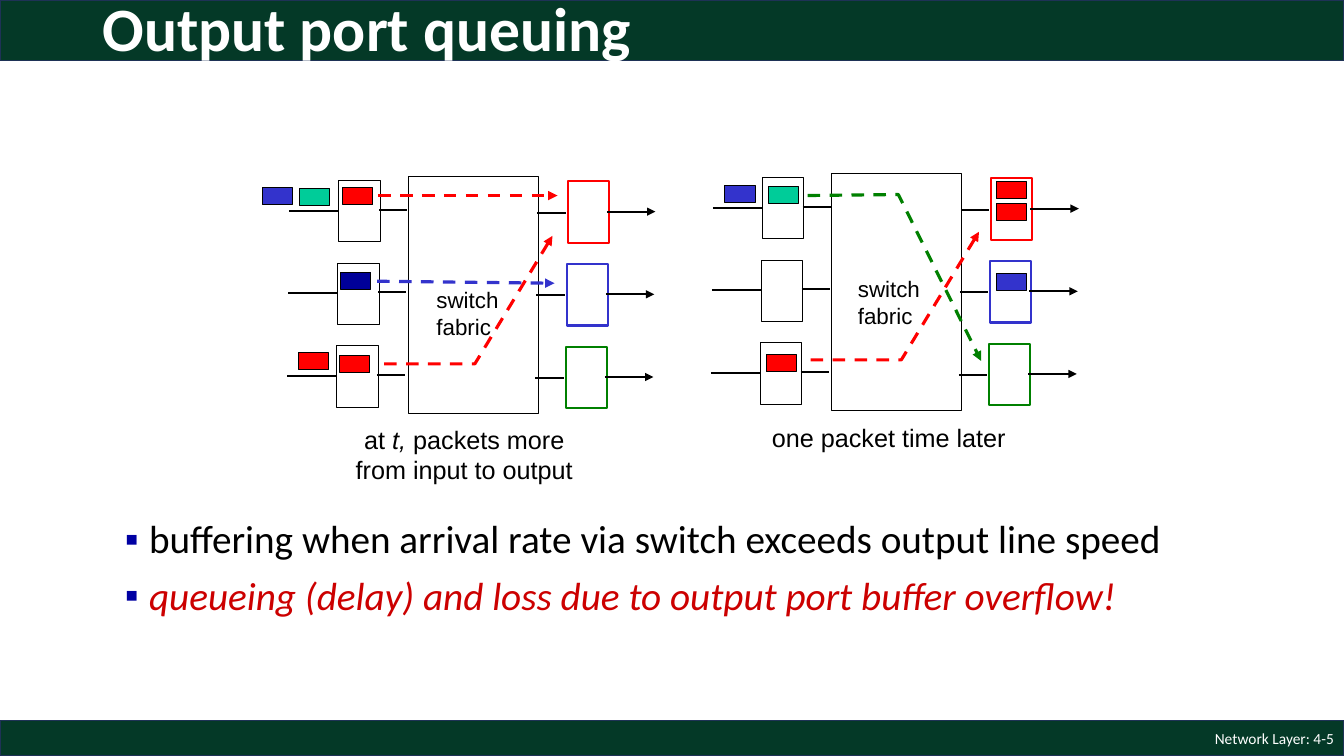
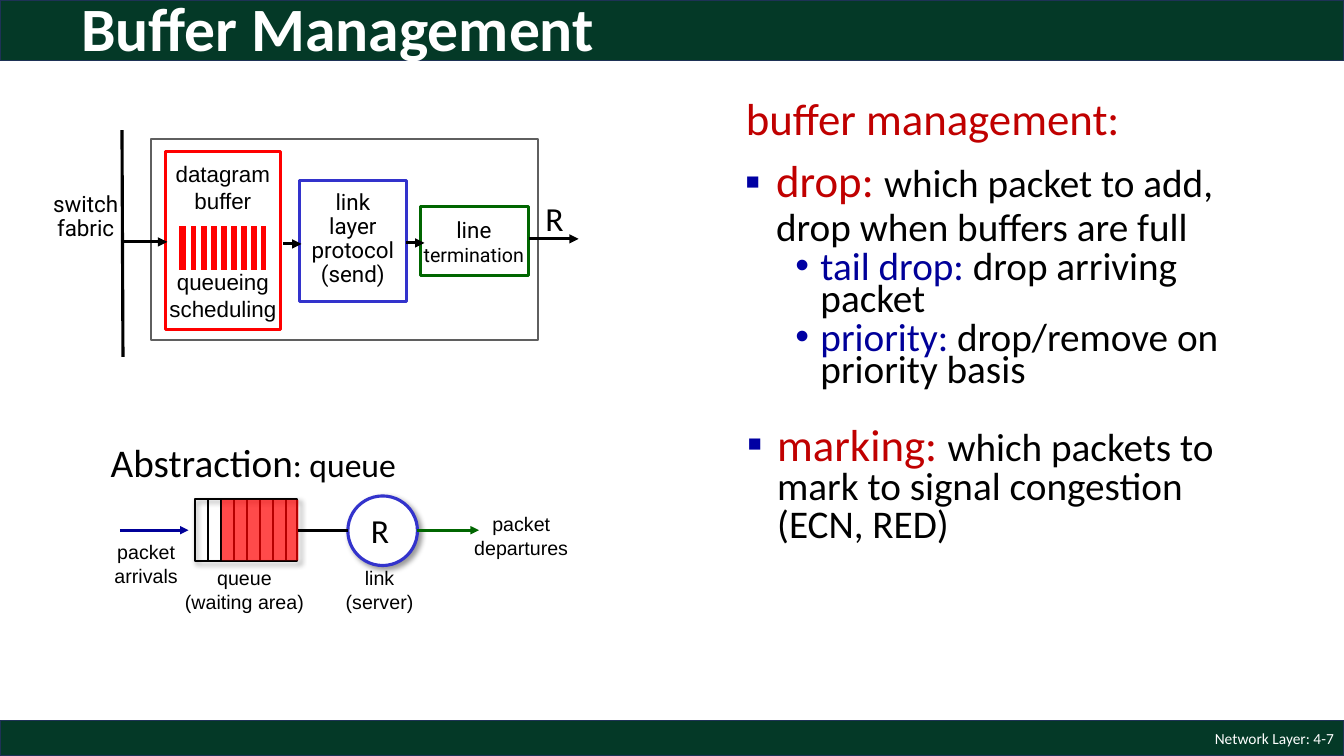
"""Build two network-layer slides on output queuing and buffer management."""
from dataclasses import dataclass
from typing import NamedTuple, Optional

from lxml import etree
from pptx import Presentation
from pptx import util as u
from pptx.dml import color as clr
from pptx.enum import dml, shapes as sh, text as tx
from pptx.oxml import ns
from pptx.slide import Slide


@dataclass(frozen=True)
class Theme:
    """Colours, fonts and type sizes shared by the slides."""
    band: str = "043927"
    band_line: str = "1E3256"
    white: str = "FFFFFF"
    black: str = "000000"
    grey: str = "5F5F5F"
    red: str = "FF0000"
    blue: str = "3333CC"
    navy: str = "000099"
    bullet: str = "0000A3"
    teal: str = "00CC99"
    green: str = "008000"
    dark_green: str = "006600"
    alert: str = "CC0000"
    heading: str = "C00000"
    body_font: str = "Calibri"
    figure_font: str = "Arial"
    block_font: str = "Roboto"
    title: float = 44
    head: float = 32
    body: float = 28
    symbol: float = 24
    caption: float = 18
    label: float = 16
    small: float = 14
    footer: float = 11


T = Theme()
Point = tuple[float, float]
Box = tuple[float, float, float, float]
RECT = sh.MSO_SHAPE.RECTANGLE
CENTER = tx.PP_ALIGN.CENTER
MIDDLE = tx.MSO_ANCHOR.MIDDLE


class Run(NamedTuple):
    """Text with the format that differs from its box."""
    text: str
    size: Optional[float] = None
    color: Optional[str] = None
    italic: bool = False


@dataclass(frozen=True)
class Para:
    """Runs with paragraph spacing, indents and an optional bullet."""
    runs: tuple[Run, ...]
    spacing: object = None
    before: float = 0
    left: float = 0
    hang: float = 0
    bullet: str = ""


class Packet(NamedTuple):
    """Top-left corner and colour of a packet."""
    x: float
    y: float
    color: str


class Route(NamedTuple):
    """Dashed arrow through the fabric."""
    color: str
    points: tuple[Point, ...]


@dataclass(frozen=True)
class Switch:
    """One state of the switch and what it carries."""
    x: float
    y: float
    label: Point
    packets: tuple[Packet, ...]
    routes: tuple[Route, ...]


def rgb(value: str) -> clr.RGBColor:
    """Turn a hex string into a colour."""
    return clr.RGBColor.from_string(value)


def child(parent, tag: str, **attrs):
    """Append an XML element."""
    return etree.SubElement(parent, ns.qn(tag), {k: str(v) for k, v in attrs.items()})


def style_line(obj, color: str, width: float, dash: bool, arrow: bool) -> None:
    """Format a line and its arrowhead."""
    obj.line.color.rgb = rgb(color)
    obj.line.width = u.Pt(width)
    if dash:
        obj.line.dash_style = dml.MSO_LINE.DASH
    if arrow:
        child(obj._element.spPr.find(ns.qn("a:ln")), "a:tailEnd", type="triangle")


def add_box(s: Slide, box: Box, fill: Optional[str] = T.white, line: Optional[str] = T.black,
            width: float = 0.75, kind=RECT, alpha: int = 100, shadow: bool = False) -> None:
    """Draw a preset shape."""
    sp = s.shapes.add_shape(kind, *map(u.Inches, box))
    if fill:
        sp.fill.solid()
        sp.fill.fore_color.rgb = rgb(fill)
    else:
        sp.fill.background()
    if alpha < 100:
        child(sp._element.spPr.find(".//" + ns.qn("a:srgbClr")), "a:alpha", val=alpha * 1000)
    if line:
        style_line(sp, line, width, False, False)
    else:
        sp.line.fill.background()
    sp.shadow.inherit = False
    if shadow:
        effects = sp._element.spPr.find(ns.qn("a:effectLst"))
        outer = child(effects, "a:outerShdw", blurRad=u.Pt(4), dist=u.Pt(3), dir=45 * 60000)
        child(child(outer, "a:srgbClr", val=T.black), "a:alpha", val=40000)


def add_line(s: Slide, start: Point, end: Point, color: str = T.black, width: float = 1.5,
             dash: bool = False, arrow: bool = False) -> None:
    """Draw a straight line or arrow."""
    c = s.shapes.add_connector(sh.MSO_CONNECTOR.STRAIGHT, *map(u.Inches, start + end))
    style_line(c, color, width, dash, arrow)
    child(c._element.spPr, "a:effectLst")


def add_route(s: Slide, route: Route) -> None:
    """Draw a dashed arrow, straight or bent."""
    if len(route.points) == 2:
        add_line(s, *route.points, route.color, 2.25, dash=True, arrow=True)
        return
    first, *rest = [(u.Inches(x), u.Inches(y)) for x, y in route.points]
    builder = s.shapes.build_freeform(*first)
    builder.add_line_segments(rest, close=False)
    sp = builder.convert_to_shape()
    sp.fill.background()
    style_line(sp, route.color, 2.25, True, True)
    sp.shadow.inherit = False


def add_text(s: Slide, box: Box, *paras: str | Para, size: float = T.body, font: str = T.body_font,
             color: str = T.black, bold: bool = False, align=None, anchor=tx.MSO_ANCHOR.TOP,
             spacing: Optional[float] = None, wrap: bool = False) -> None:
    """Write paragraphs in a text box."""
    tf = s.shapes.add_textbox(*map(u.Inches, box)).text_frame
    tf.word_wrap = wrap
    tf.vertical_anchor = anchor
    for i, item in enumerate(paras):
        para = Para((Run(item),)) if isinstance(item, str) else item
        p = tf.add_paragraph() if i else tf.paragraphs[0]
        p.alignment = align
        p.line_spacing = para.spacing or spacing
        p.space_before = u.Pt(para.before)
        pr = p._p.get_or_add_pPr()
        pr.set("marL", str(u.Inches(para.left)))
        pr.set("indent", str(u.Inches(-para.hang)))
        if para.bullet:
            child(child(pr, "a:buClr"), "a:srgbClr", val=T.bullet)
            child(pr, "a:buFont", typeface=T.figure_font)
            child(pr, "a:buChar", char=para.bullet)
        for run in para.runs:
            r = p.add_run()
            r.text = run.text
            r.font.size = u.Pt(run.size or size)
            r.font.name = font
            r.font.bold = bold
            r.font.italic = run.italic
            r.font.color.rgb = rgb(run.color or color)


def add_slide(prs, title: str, left: float, number: str) -> Slide:
    """Add a blank slide with bands, title and footer."""
    s = prs.slides.add_slide(prs.slide_layouts[6])
    for y, h in ((7.15, 0.35), (0, 0.6)):
        add_box(s, (0, y, 13.33, h), T.band, T.band_line, 1)
    add_text(s, (10.33, 7.15, 3, 0.35), f"Network Layer: {number}", size=T.footer, color=T.white,
             align=tx.PP_ALIGN.RIGHT, anchor=MIDDLE, wrap=True)
    add_text(s, (left, -0.18, 11.5, 0.98), title, size=T.title, color=T.white, bold=True,
             anchor=MIDDLE, spacing=0.9, wrap=True)
    return s


def draw_switch(s: Slide, sw: Switch) -> None:
    """Draw a switch with three inputs and three outputs."""
    add_box(s, (sw.x, sw.y, 1.29, 2.35))
    for i, color in enumerate((T.red, T.blue, T.green)):
        x, y = sw.x - 0.01 * i, sw.y + 0.82 * i
        add_box(s, (x - 0.69, y + 0.04, 0.41, 0.61))
        add_box(s, (x + 1.58, y + 0.05, 0.41, 0.61), line=color, width=1.5)
        for start, end, dy in ((-1.18, -0.69, 0.34), (-0.29, -0.01, 0.33),
                               (1.28, 1.56, 0.36), (1.97, 2.45, 0.35)):
            add_line(s, (x + start, y + dy), (x + end, y + dy), arrow=start > 1.5)
    for x, y, color in sw.packets:
        add_box(s, (x, y, 0.3, 0.17), color)
    add_text(s, (*sw.label, 0.82, 0.64), "switch", "fabric", size=T.label, font=T.figure_font)
    for route in sw.routes:
        add_route(s, route)


def queuing_slide(prs) -> None:
    """Build the slide on output port queuing."""
    s = add_slide(prs, "Output port queuing", 0.92, "4-5")
    now = Switch(
        4.05, 1.75, (4.23, 2.79),
        (Packet(3.4, 1.86, T.red), Packet(3.38, 2.7, T.navy), Packet(3.37, 3.53, T.red),
         Packet(2.97, 1.87, T.teal), Packet(2.96, 3.5, T.red), Packet(2.6, 1.86, T.blue)),
        (Route(T.red, ((3.75, 1.94), (5.53, 1.94))),
         Route(T.red, ((3.81, 3.61), (4.71, 3.61), (5.48, 2.34))),
         Route(T.blue, ((3.74, 2.79), (5.5, 2.81)))))
    later = Switch(
        8.25, 1.72, (8.41, 2.68),
        (Packet(9.88, 1.8, T.red), Packet(9.88, 2.71, T.blue), Packet(9.88, 2.02, T.red),
         Packet(7.62, 1.85, T.teal), Packet(7.6, 3.52, T.red), Packet(7.19, 1.84, T.blue)),
        (Route(T.red, ((8.04, 3.57), (8.94, 3.57), (9.71, 2.3))),
         Route(T.green, ((8.01, 1.94), (8.91, 1.93), (9.73, 3.58)))))
    for sw in (now, later):
        draw_switch(s, sw)
    caption = Para((Run("at "), Run("t,", italic=True), Run(" packets more")))
    for box, lines in (((3.26, 4.16, 2.69, 0.7), (caption, "from input to output")),
                       ((7.47, 4.14, 2.69, 0.4), ("one packet time later",))):
        add_text(s, box, *lines, size=T.caption, font=T.figure_font, align=CENTER, wrap=True)
    points = (Run("buffering when arrival rate via switch exceeds output line speed"),
              Run("queueing (delay) and loss due to output port buffer overflow!",
                  color=T.alert, italic=True))
    add_text(s, (0.99, 5.11, 11, 1.92),
             *(Para((r,), 0.9, 10, 0.39, 0.24, "▪") for r in points), wrap=True)


def draw_port(s: Slide) -> None:
    """Draw the output port and its stages."""
    add_box(s, (1.5, 1.38, 3.84, 1.99), line=T.grey, width=1.5)
    for box, color in (((4.17, 2.05, 1.07, 0.68), T.dark_green),
                       ((2.97, 1.79, 1.06, 1.2), T.blue), ((1.64, 1.5, 1.14, 1.77), T.red)):
        add_box(s, box, line=color, width=2.25)
    termination = Para((Run("termination", T.small),))
    for box, lines, spacing in (
            ((4, 2.05, 1.4, 0.68), ("line", termination), 1.0),
            ((2.8, 1.95, 1.4, 0.85), ("link", "layer", "protocol", "(send)"), 0.9),
            ((0.15, 1.73, 1.4, 0.85), ("switch", "fabric"), 0.9)):
        add_text(s, box, *lines, size=T.label, font=T.block_font, align=CENTER,
                 anchor=MIDDLE, spacing=spacing)
    add_box(s, (1.75, 2.22, 0.91, 0.48), T.red, T.white, 3)
    for i in range(8):
        x = 1.87 + 0.1 * i
        add_line(s, (x, 2.23), (x, 2.69), T.white, 3)
    add_text(s, (1.5, 1.54, 1.42, 1.72), "datagram", "buffer",
             Para((Run("queueing"),), before=39), "scheduling",
             size=T.label, font=T.figure_font, align=CENTER)
    add_line(s, (1.21, 1.29), (1.22, 3.54), width=2.25)
    for start, end, y in ((1.2, 1.66, 2.4), (2.81, 2.99, 2.42), (4.03, 4.21, 2.41),
                          (5.25, 5.74, 2.37)):
        add_line(s, (start, y), (end, y), width=2.25, arrow=True)
    add_text(s, (5.31, 1.91, 0.38, 0.5), "R", size=T.symbol)


def draw_queue(s: Slide) -> None:
    """Draw the queue abstraction."""
    add_box(s, (1.93, 4.95, 1.02, 0.62), None, width=1.5, shadow=True)
    for i in range(7):
        x = 2.06 + 0.13 * i
        add_line(s, (x, 4.95), (x, 5.57))
    add_box(s, (2.2, 4.96, 0.76, 0.6), T.red, None, alpha=71)
    add_box(s, (3.45, 4.92, 0.69, 0.69), line=T.blue, width=2.25,
            kind=sh.MSO_SHAPE.OVAL, shadow=True)
    for start, end, color in ((1.19, 1.87, T.navy), (2.96, 3.45, T.black),
                              (4.14, 4.75, T.dark_green)):
        add_line(s, (start, 5.26), (end, 5.26), color, 2, arrow=color != T.black)
    for x, y, w, lines in ((1.73, 5.57, 1.39, ("queue", "(waiting area)")),
                           (1.03, 5.31, 0.84, ("packet", "arrivals")),
                           (4.6, 5.03, 1.14, ("packet", "departures")),
                           (3.3, 5.57, 0.93, ("link", "(server)"))):
        add_text(s, (x, y, w, 0.57), *lines, size=T.small, font=T.figure_font, align=CENTER)
    add_text(s, (1, 4.3, 3.07, 0.57), Para((Run("Abstraction"), Run(": queue", T.symbol))))
    add_text(s, (3.58, 5.01, 0.38, 0.5), "R", size=T.symbol)


def buffer_slide(prs) -> None:
    """Build the slide on buffer management."""
    s = add_slide(prs, "Buffer Management", 0.71, "4-7")
    draw_port(s)
    draw_queue(s)
    policies = (("tail drop: ", "drop arriving packet"),
                ("priority: ", "drop/remove on priority basis"))
    add_text(s, (7.28, 0.91, 5.43, 3.2),
             Para((Run("buffer management:", T.head, T.heading),), 0.9, 10, 0.26, 0.24),
             Para((Run("drop: ", T.head, T.heading),
                   Run("which packet to add, drop when buffers are full")),
                  0.9, 10, 0.32, 0.31, "▪"),
             *(Para((Run(name, color=T.navy), Run(rule)), u.Pt(22.8), 5, 0.76, 0.25, "•")
               for name, rule in policies), wrap=True)
    add_text(s, (7.16, 4.19, 5.43, 1.33),
             Para((Run("marking: ", T.head, T.heading),
                   Run("which packets to mark to signal congestion (ECN, RED)")),
                  0.8, 10, 0.45, 0.3, "▪"), wrap=True)


def main() -> None:
    """Build and save the presentation."""
    prs = Presentation()
    prs.slide_width, prs.slide_height = u.Inches(13.33), u.Inches(7.5)
    queuing_slide(prs)
    buffer_slide(prs)
    prs.save("out.pptx")


if __name__ == "__main__":
    main()
